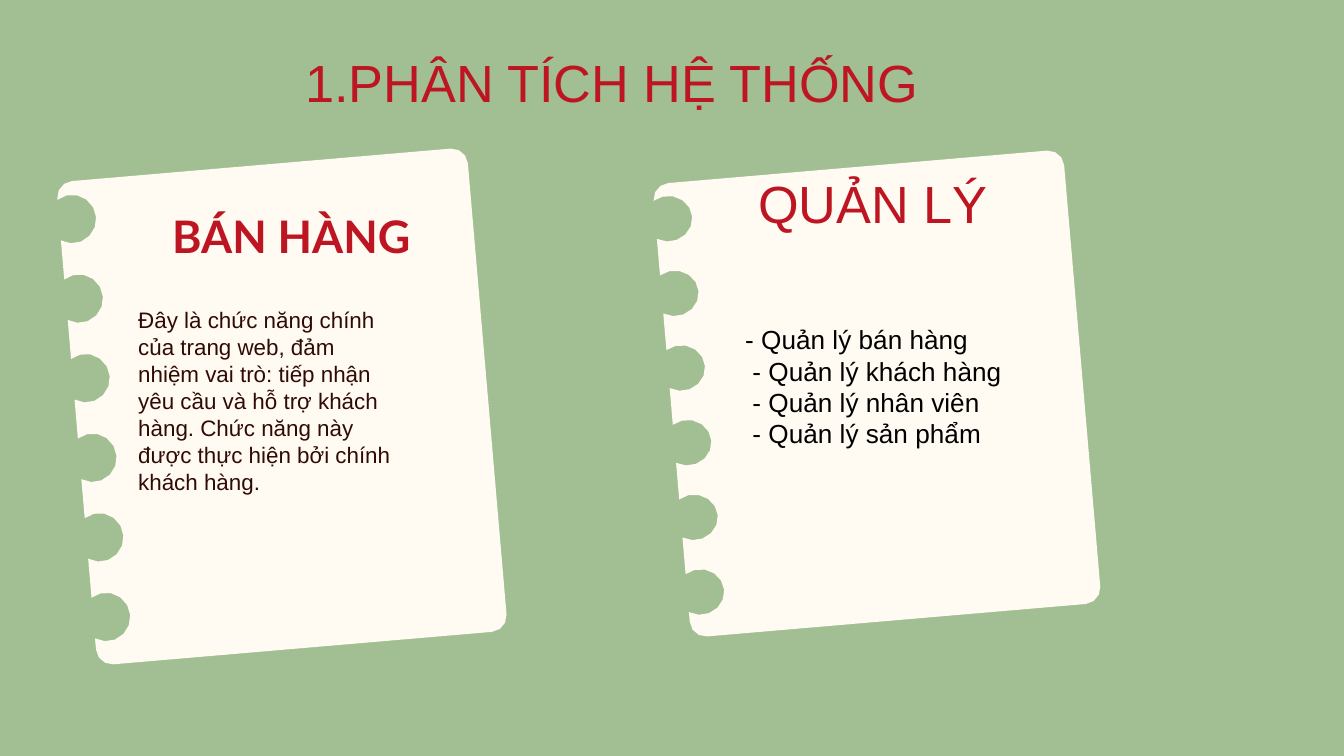
from math import cos, radians, sin

from pptx import Presentation
from pptx.dml.color import RGBColor
from pptx.enum.text import MSO_ANCHOR
from pptx.util import Emu, Pt

PX = 914400 / 134.4
GREEN = RGBColor(0xA2, 0xBF, 0x93)
CREAM = RGBColor(0xFF, 0xFA, 0xF2)
RED = RGBColor(0xBD, 0x16, 0x22)
BROWN = RGBColor(0x30, 0x0B, 0x03)
BLACK = RGBColor(0x00, 0x00, 0x00)

CORNER = 16
NOTCH_COUNT = 6
NOTCH_X, NOTCH_RADIUS = 13, 24
NOTCH_ANGLE = 123  # where a notch meets the left edge of the page


def px(value):
    return Emu(round(value * PX))


def arc(center_x, center_y, radius_x, radius_y, start, end, steps=3):
    """Return points along an elliptical arc, with angles in degrees."""
    angles = [radians(start + (end - start) * step / steps) for step in range(steps + 1)]
    return [(px(center_x + radius_x * cos(angle)), px(center_y + radius_y * sin(angle)))
            for angle in angles]


presentation = Presentation()
presentation.slide_width = px(1344)
presentation.slide_height = px(756)
slide = presentation.slides.add_slide(presentation.slide_layouts[6])
slide.background.fill.solid()
slide.background.fill.fore_color.rgb = GREEN

# Notebook pages: left, top, width, height
for left, top, width, height in [(76, 164, 412, 485), (671, 166, 412, 455)]:
    near, far_x, far_y = CORNER, width - CORNER, height - CORNER
    points = arc(near, far_y, CORNER, CORNER, 180, 90)
    points += arc(far_x, far_y, CORNER, CORNER, 90, 0)
    points += arc(far_x, near, CORNER, CORNER, 0, -90)
    points += arc(near, near, CORNER, CORNER, -90, -180)
    for index in range(NOTCH_COUNT):
        notch_y = height * (0.078 + 0.1647 * index)
        points += arc(NOTCH_X, notch_y, NOTCH_RADIUS, height * 0.05,
                      -NOTCH_ANGLE, NOTCH_ANGLE, steps=10)
    builder = slide.shapes.build_freeform(*points[0], scale=1.0)
    builder.add_line_segments(points[1:], close=True)
    page = builder.convert_to_shape(px(left), px(top))
    page.rotation = 355.1
    page.shadow.inherit = False
    page.fill.solid()
    page.fill.fore_color.rgb = CREAM
    page.line.fill.background()

# Texts: box, margin top and bottom, anchor, colour, font format, paragraphs
NARROW, WIDE = Pt(3.6), Pt(7.2)
texts = [
    ((159, 189, 321, 87), WIDE, MSO_ANCHOR.BOTTOM, RED,
     {"name": "Lato", "size": Pt(24), "bold": True}, ["BÁN HÀNG"]),
    ((125, 293, 282, 241), WIDE, MSO_ANCHOR.TOP, BROWN,
     {"name": "Arial", "size": Pt(12)},
     ["Đây là chức năng chính của trang web, đảm nhiệm vai trò: tiếp nhận yêu cầu "
      "và hỗ trợ khách hàng. Chức năng này được thực hiện bởi chính khách hàng."]),
    ((745, 165, 278, 77), NARROW, MSO_ANCHOR.TOP, RED,
     {"name": "Arial", "size": Pt(28)}, ["QUẢN LÝ"]),
    ((732, 317, 290, 140), NARROW, MSO_ANCHOR.TOP, BLACK,
     {"name": "Arial", "size": Pt(14)},
     ["- Quản lý bán hàng", " - Quản lý khách hàng",
      " - Quản lý nhân viên", " - Quản lý sản phẩm"]),
    ((292, 44, 738, 77), NARROW, MSO_ANCHOR.TOP, RED,
     {"name": "Arial", "size": Pt(28)}, ["1.PHÂN TÍCH HỆ THỐNG"]),
]
for box, margin, anchor, color, font_format, lines in texts:
    frame = slide.shapes.add_textbox(*map(px, box)).text_frame
    frame.word_wrap = True
    frame.vertical_anchor = anchor
    frame.margin_left = frame.margin_right = WIDE
    frame.margin_top = frame.margin_bottom = margin
    for index, line in enumerate(lines):
        paragraph = frame.add_paragraph() if index else frame.paragraphs[0]
        run = paragraph.add_run()
        run.text = line
        run.font.color.rgb = color
        for name, value in font_format.items():
            setattr(run.font, name, value)

presentation.save("out.pptx")
